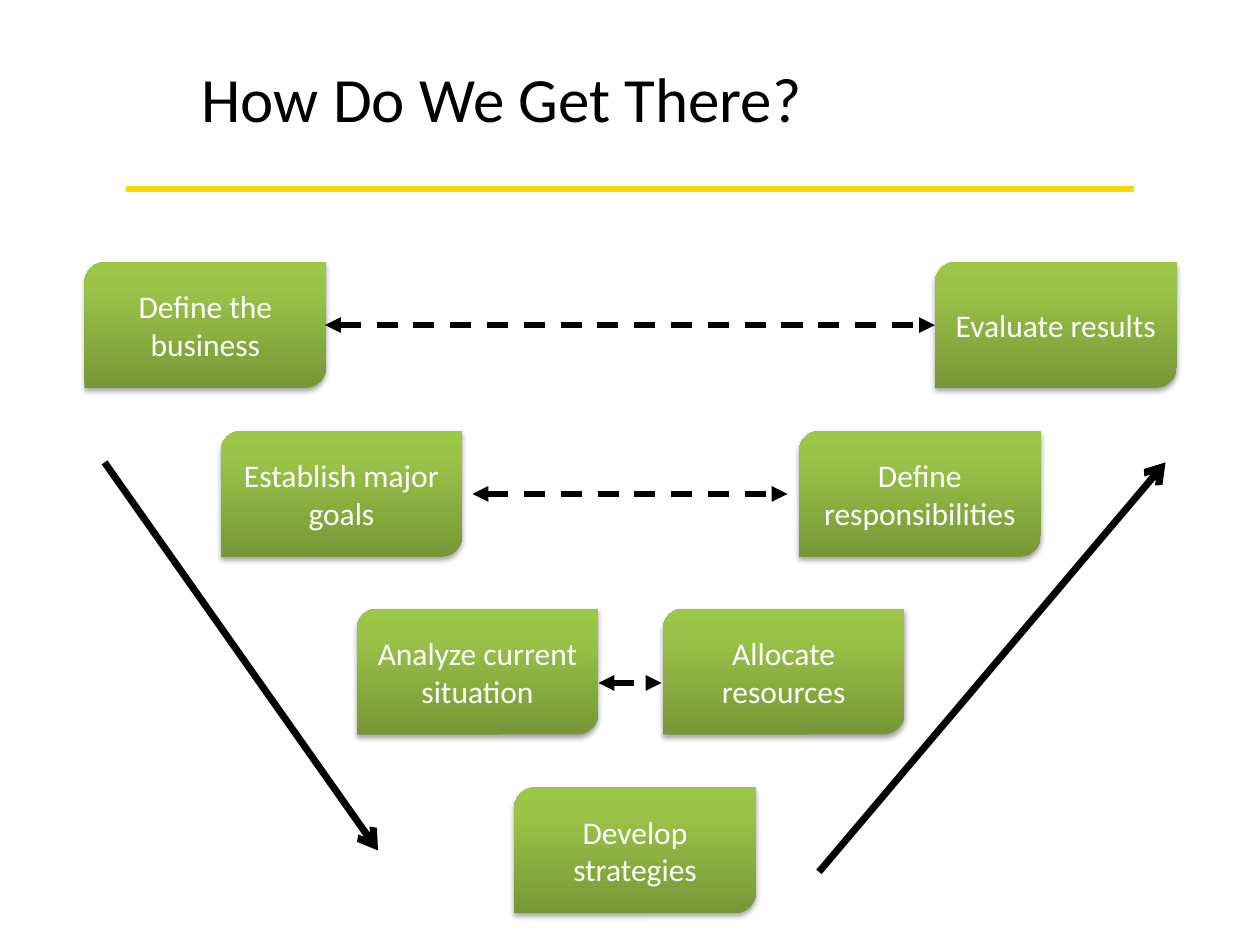
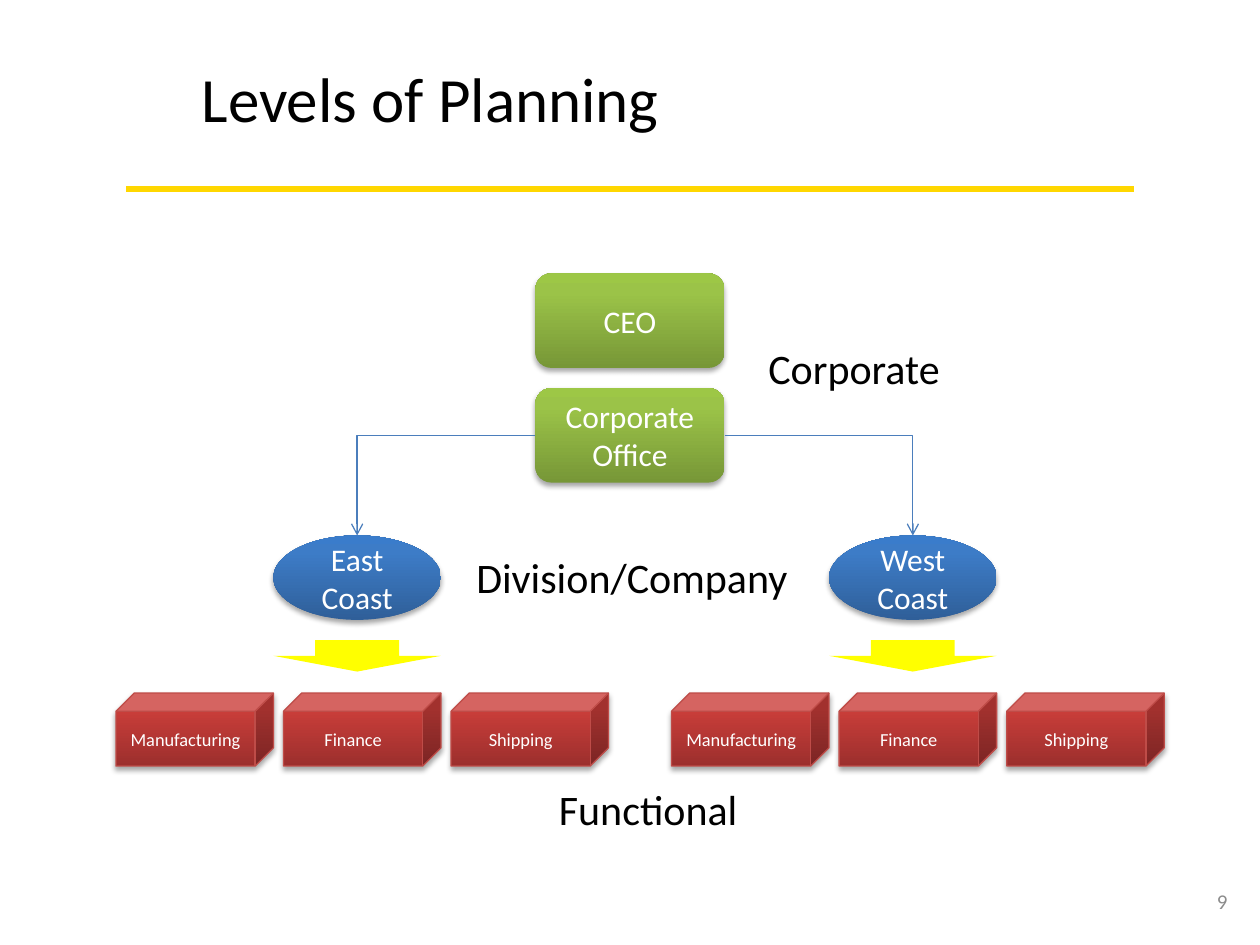
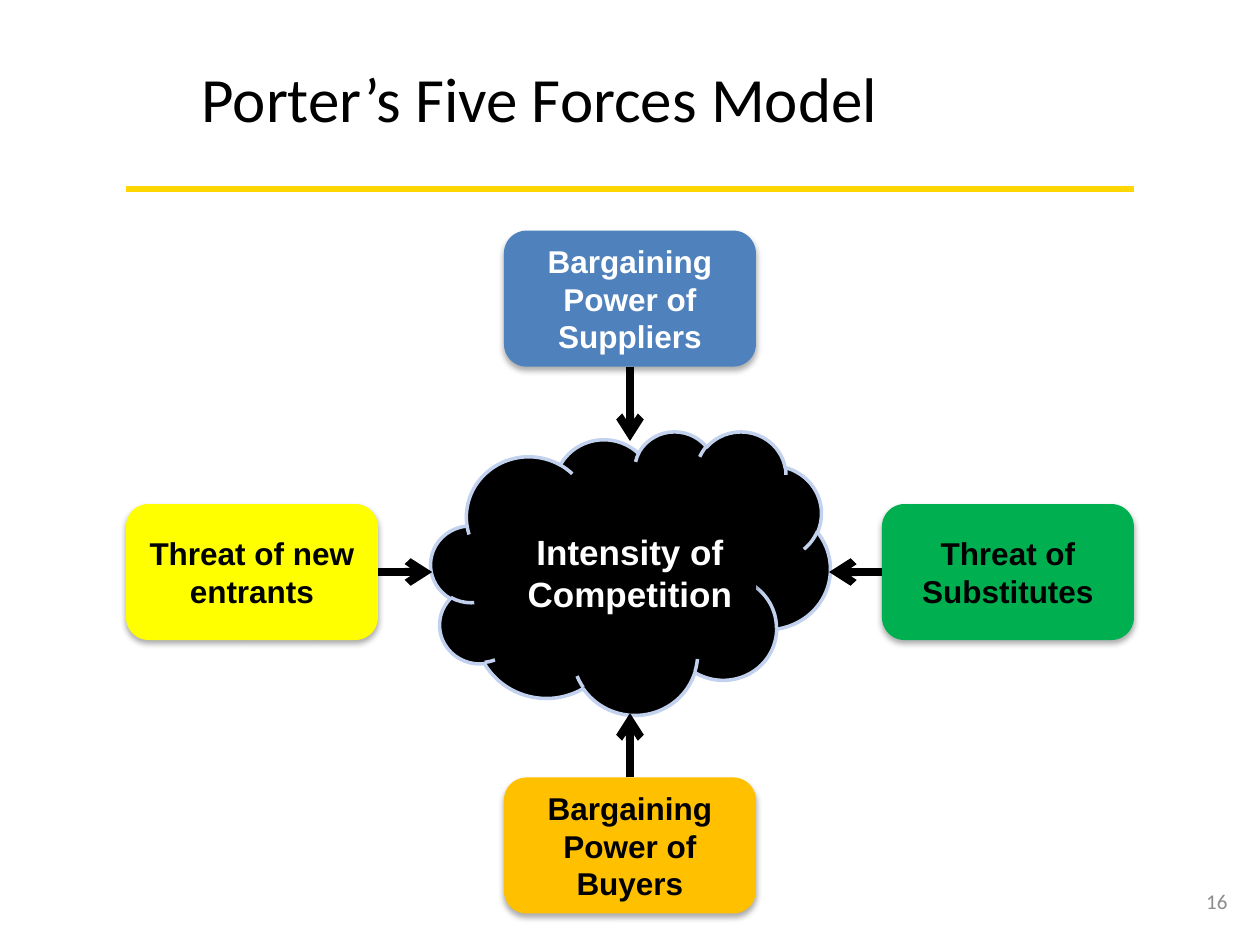
from copy import deepcopy

from lxml import etree
from pptx import Presentation
from pptx.dml.color import RGBColor
from pptx.enum.dml import MSO_LINE
from pptx.enum.shapes import MSO_CONNECTOR, MSO_SHAPE
from pptx.enum.text import MSO_ANCHOR, MSO_AUTO_SIZE, PP_ALIGN
from pptx.oxml.ns import qn
from pptx.util import Inches, Pt

STRAIGHT, ELBOW = MSO_CONNECTOR.STRAIGHT, MSO_CONNECTOR.ELBOW
DIAGONAL_RECT, ROUND_RECT = MSO_SHAPE.ROUND_2_DIAG_RECTANGLE, MSO_SHAPE.ROUNDED_RECTANGLE
OVAL, CUBE, CLOUD, DOWN_ARROW = MSO_SHAPE.OVAL, MSO_SHAPE.CUBE, MSO_SHAPE.CLOUD, MSO_SHAPE.DOWN_ARROW
LEFT, CENTER, RIGHT = PP_ALIGN.LEFT, PP_ALIGN.CENTER, PP_ALIGN.RIGHT
TOP, MIDDLE = MSO_ANCHOR.TOP, MSO_ANCHOR.MIDDLE
FIT_SHAPE, NO_FIT = MSO_AUTO_SIZE.SHAPE_TO_FIT_TEXT, MSO_AUTO_SIZE.NONE
DASH = MSO_LINE.DASH
TOP_SITE, LEFT_SITE, BOTTOM_SITE, RIGHT_SITE = range(4)

BLACK = RGBColor(0x00, 0x00, 0x00)
WHITE = RGBColor(0xFF, 0xFF, 0xFF)
GOLD = RGBColor(0xFF, 0xD7, 0x00)
GRAY = RGBColor(0x8C, 0x8C, 0x8C)
YELLOW = RGBColor(0xFF, 0xFF, 0x00)
GREEN = RGBColor(0x00, 0xB0, 0x50)
AMBER = RGBColor(0xFF, 0xC0, 0x00)
BLUE = RGBColor(0x4F, 0x81, 0xBD)
LINK_BLUE = RGBColor(0x4B, 0x7E, 0xBC)
CUBE_EDGE = RGBColor(0xBF, 0x4C, 0x48)
CLOUD_EDGE = RGBColor(0xC2, 0xD1, 0xED)

# Gradients run from the bottom of a shape to its top.
STOPS = (0, 0.8, 1)
GREEN_GRADIENT = (RGBColor(0x77, 0x97, 0x37), RGBColor(0x9B, 0xC3, 0x48), RGBColor(0x9D, 0xC7, 0x46))
BLUE_GRADIENT = (RGBColor(0x2F, 0x5F, 0x99), RGBColor(0x3D, 0x7C, 0xC7), RGBColor(0x3A, 0x7C, 0xCB))
RED_GRADIENT = (RGBColor(0x9C, 0x2F, 0x2D), RGBColor(0xCB, 0x3E, 0x3A), RGBColor(0xCE, 0x3B, 0x37))

# Shadow: opacity in percent, blur and distance in points.
SOFT_SHADOW = (35, 3.1, 1.8)
FORCE_SHADOW = (32, 3.5, 2.2)


def write(frame, text, size, color, align=LEFT, font="Calibri", bold=False):
    frame.text = text
    paragraph = frame.paragraphs[0]
    paragraph.alignment = align
    paragraph.font.name = font
    paragraph.font.size = Pt(size)
    paragraph.font.bold = bold
    paragraph.font.color.rgb = color


def place(shape, left, top, width, height):
    shape.left, shape.top = Inches(left), Inches(top)
    shape.width, shape.height = Inches(width), Inches(height)


def fill_gradient(shape, colors):
    shape.fill.gradient()
    shape.fill.gradient_angle = 90
    stop_list = shape.element.spPr.find(qn("a:gradFill")).find(qn("a:gsLst"))
    stop_list.append(deepcopy(stop_list[0]))
    for stop, position, color in zip(shape.fill.gradient_stops, STOPS, colors):
        stop.position = position
        stop.color.rgb = color


def cast_shadow(shape, opacity, blur, distance):
    effects = shape.element.spPr.find(qn("a:effectLst"))
    shadow = etree.SubElement(effects, qn("a:outerShdw"), blurRad=str(Pt(blur)),
                              dist=str(Pt(distance)), dir="5400000", rotWithShape="0")
    color = etree.SubElement(shadow, qn("a:srgbClr"), val=str(BLACK))
    etree.SubElement(color, qn("a:alpha"), val=str(opacity * 1000))


def add_box(shapes, kind, area, fill, edge=None, edge_width=0.75, shadow=None):
    """Add a preset shape; fill is one colour or a tuple of gradient colours."""
    box = shapes.add_shape(kind, *map(Inches, area))
    if isinstance(fill, RGBColor):
        box.fill.solid()
        box.fill.fore_color.rgb = fill
    else:
        fill_gradient(box, fill)
    if edge is None:
        box.line.fill.background()
    else:
        box.line.color.rgb = edge
        box.line.width = Pt(edge_width)
    box.shadow.inherit = False
    if shadow:
        cast_shadow(box, *shadow)
    return box


def add_glossy_box(shapes, kind, area, text, colors, size=18, edge=None):
    box = add_box(shapes, kind, area, colors, edge, shadow=SOFT_SHADOW)
    write(box.text_frame, text, size, WHITE, CENTER)
    return box


def add_force(page, left, top, text, fill, color=BLACK, size=18):
    box = add_box(page.shapes, ROUND_RECT, (left, top, 2, 1.08), fill, shadow=FORCE_SHADOW)
    write(box.text_frame, text, size, color, CENTER, "Arial", True)
    return box


def add_line(page, start, end, color, width, kind=STRAIGHT, dash=None, head=None, tail=None):
    line = page.shapes.add_connector(kind, *map(Inches, start + end))
    line.line.color.rgb = color
    line.line.width = Pt(width)
    if dash:
        line.line.dash_style = dash
    properties = line.element.spPr
    outline = properties.find(qn("a:ln"))
    for tag, arrowhead in (("a:headEnd", head), ("a:tailEnd", tail)):
        if arrowhead:
            etree.SubElement(outline, qn(tag), type=arrowhead)
    etree.SubElement(properties, qn("a:effectLst"))
    return line


def add_label(page, area, text, align=LEFT):
    label = page.shapes.add_textbox(*map(Inches, area))
    label.text_frame.word_wrap = False
    label.text_frame.auto_size = FIT_SHAPE
    write(label.text_frame, text, 24, BLACK, align)


def add_page(deck, title, title_width, number=None):
    page = deck.slides.add_slide(deck.slide_layouts.get_by_name("Title Only"))
    heading = page.shapes.title
    place(heading, 1.5, 0.42, title_width, 0.71)
    frame = heading.text_frame
    frame.word_wrap = False
    frame.auto_size = FIT_SHAPE
    frame.vertical_anchor = TOP
    write(frame, title, 36, BLACK)
    if number:
        box = page.shapes.add_textbox(*map(Inches, (9.42, 6.95, 0.42, 0.4)))
        box.text_frame.word_wrap = True
        box.text_frame.auto_size = NO_FIT
        box.text_frame.vertical_anchor = MIDDLE
        write(box.text_frame, number, 12, GRAY, RIGHT)
    return page


def add_title_rule(deck, page):
    """Draw the gold rule and move it to the master, so every slide shows it."""
    rule = add_line(page, (1, 1.5), (9, 1.5), GOLD, 4)
    deck.slide_master.shapes.element.append(rule.element)


def build_process(deck):
    page = add_page(deck, "How Do We Get There?", 5)
    add_title_rule(deck, page)
    width, height = 1.92, 1
    rows = [
        (2.08, "Define the business", "Evaluate results"),
        (3.42, "Establish major goals", "Define responsibilities"),
        (4.83, "Analyze current situation", "Allocate resources"),
    ]
    steps = [(4.08, 6.25, "Develop strategies")]
    for index, (top, down_text, up_text) in enumerate(rows):
        inset = 0.67 + 1.08 * index
        steps += [(inset, top, down_text), (10.01 - inset - width, top, up_text)]
    for left, top, text in steps:
        add_glossy_box(page.shapes, DIAGONAL_RECT, (left, top, width, height), text, GREEN_GRADIENT)

    for start, end in (((0.83, 3.67), (3, 6.75)), ((6.5, 6.92), (9.25, 3.67))):
        add_line(page, start, end, BLACK, 4, tail="arrow")
    for left, y in ((2.58, 2.58), (3.75, 3.92), (4.75, 5.42)):
        add_line(page, (left, y), (10 - left, y), BLACK, 3, dash=DASH,
                 head="triangle", tail="triangle")


def build_levels(deck):
    page = add_page(deck, "Levels of Planning", 3.87, "9")
    add_glossy_box(page.shapes, ROUND_RECT, (4.25, 2.17, 1.5, 0.75), "CEO", GREEN_GRADIENT)
    office = add_glossy_box(page.shapes, ROUND_RECT, (4.25, 3.08, 1.5, 0.75),
                            "Corporate Office", GREEN_GRADIENT)
    divisions = (("East Coast", 2.17, 0.92, LEFT_SITE), ("West Coast", 6.58, 5.33, RIGHT_SITE))
    for name, left, first_cube, office_site in divisions:
        division = add_glossy_box(page.shapes, OVAL, (left, 4.25, 1.33, 0.67), name, BLUE_GRADIENT)
        functions = page.shapes.add_group_shape().shapes
        for index, text in enumerate(("Manufacturing", "Finance", "Shipping")):
            area = (first_cube + 1.33 * index, 5.5, 1.25, 0.58)
            add_glossy_box(functions, CUBE, area, text, RED_GRADIENT, 10.5, CUBE_EDGE)
        link = add_line(page, (5, 3.46), (left, 4.25), LINK_BLUE, 0.75, ELBOW, tail="arrow")
        link.element.spPr.find(qn("a:prstGeom")).set("prst", "bentConnector2")
        link.begin_connect(office, office_site)
        link.end_connect(division, TOP_SITE)
        add_box(page.shapes, DOWN_ARROW, (left, 5.08, 1.33, 0.25), YELLOW)

    add_label(page, (6, 2.67, 1.57, 0.5), "Corporate")
    add_label(page, (3.67, 4.33, 2.69, 0.5), "Division/Company", CENTER)
    add_label(page, (4.33, 6.17, 1.63, 0.5), "Functional", CENTER)


def build_forces(deck):
    page = add_page(deck, "Porter’s Five Forces Model", 5.61, "16")
    add_box(page.shapes, CLOUD, (3.42, 3.42, 3.17, 2.25), BLACK, CLOUD_EDGE, 2)
    add_force(page, 4, 4, "Intensity of Competition", BLACK, WHITE, 20)
    forces = [
        (1, 4, "Threat of new entrants", YELLOW, BLACK, RIGHT_SITE, (3.43, 4.54)),
        (7, 4, "Threat of Substitutes", GREEN, BLACK, LEFT_SITE, (6.58, 4.54)),
        (4, 6.17, "Bargaining Power of Buyers", AMBER, BLACK, TOP_SITE, (5, 5.66)),
        (4, 1.83, "Bargaining Power of Suppliers", BLUE, WHITE, BOTTOM_SITE, (5, 3.5)),
    ]
    for left, top, text, fill, color, site, target in forces:
        force = add_force(page, left, top, text, fill, color)
        arrow = add_line(page, (left, top), target, BLACK, 4.5, tail="arrow")
        arrow.begin_connect(force, site)


def main():
    deck = Presentation()
    deck.slide_width, deck.slide_height = Inches(10), Inches(7.5)
    build_process(deck)
    build_levels(deck)
    build_forces(deck)
    deck.save("out.pptx")


if __name__ == "__main__":
    main()
